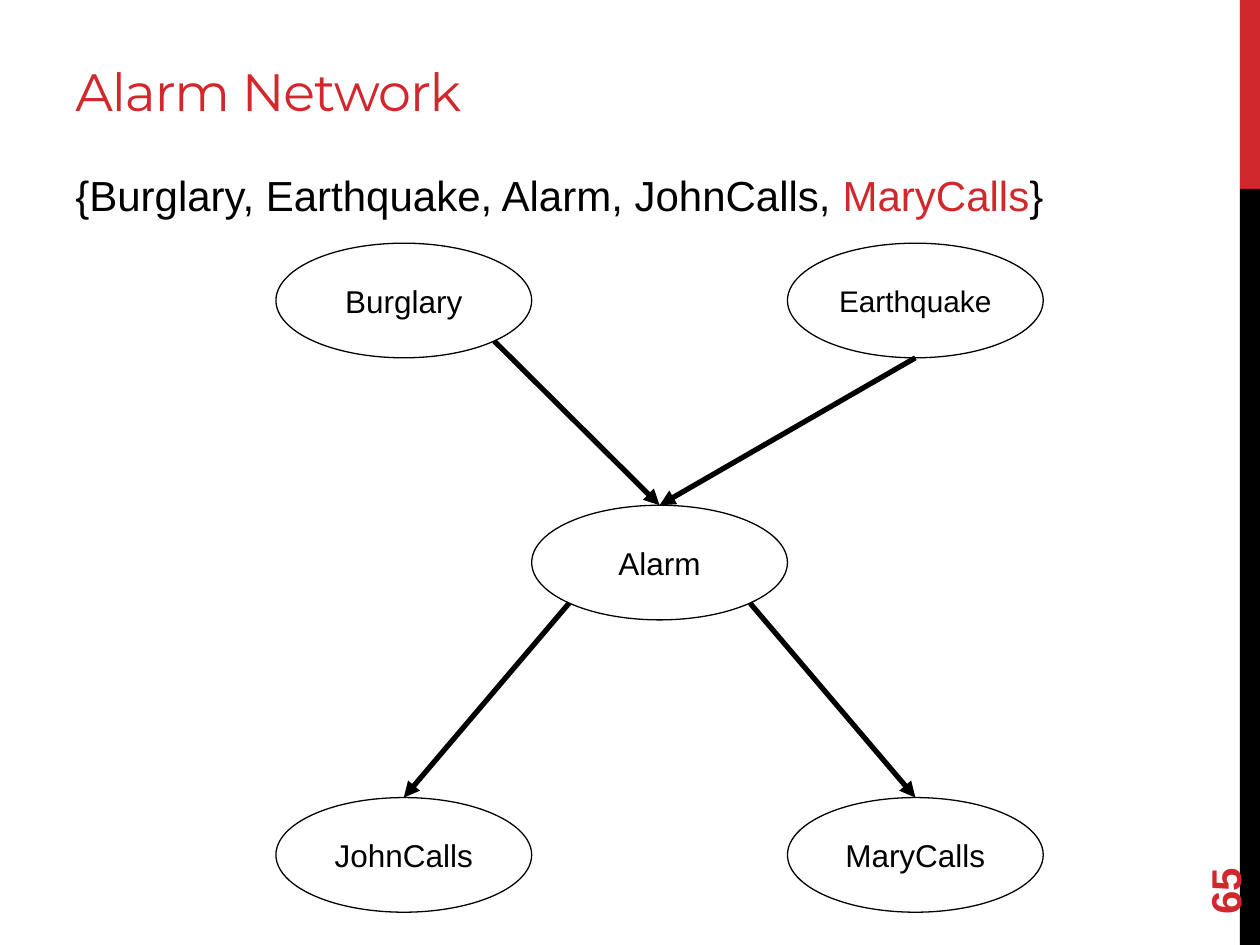
"""Builds the Alarm Network slide: a five-node Bayesian network."""
from dataclasses import dataclass
from math import cos, radians, sin

from lxml.etree import SubElement
from pptx import Presentation
from pptx.dml.color import RGBColor
from pptx.enum.shapes import MSO_CONNECTOR, MSO_SHAPE
from pptx.enum.text import MSO_ANCHOR, PP_ALIGN
from pptx.oxml.ns import qn
from pptx.util import Inches, Pt


@dataclass(frozen=True)
class Theme:
    """Colours, fonts and type sizes of the slide."""
    red: RGBColor = RGBColor(0xD1, 0x28, 0x2E)
    black: RGBColor = RGBColor(0, 0, 0)
    heading_font: str = "Montserrat"
    body_font: str = "Arial"
    title_size: float = 30
    body_size: float = 24
    node_size: float = 18
    small_node_size: float = 17
    outline: float = 0.75
    arrow: float = 3


THEME = Theme()
SLIDE_WIDTH, SLIDE_HEIGHT = 10, 7.5
BAR_LEFT = 9.84
MARGIN, CONTENT_WIDTH = 0.5, 8.84
NODE_WIDTH, NODE_HEIGHT = 2.03, 0.91
GRID_LEFT = 2.19
ROW_TOPS = (1.93, 4.01, 6.33)
TOP, BOTTOM, BOTTOM_LEFT, BOTTOM_RIGHT = 270, 90, 135, 45

NODES = {
    "Burglary": (0, 0, THEME.node_size),
    "Earthquake": (2, 0, THEME.small_node_size),
    "Alarm": (1, 1, THEME.node_size),
    "JohnCalls": (0, 2, THEME.node_size),
    "MaryCalls": (2, 2, THEME.node_size),
}
LINKS = (
    ("Burglary", BOTTOM_RIGHT, "Alarm"),
    ("Earthquake", BOTTOM, "Alarm"),
    ("Alarm", BOTTOM_LEFT, "JohnCalls"),
    ("Alarm", BOTTOM_RIGHT, "MaryCalls"),
)


def add_run(paragraph, text, size, color=THEME.black, font=THEME.body_font, bold=False):
    """Append one formatted run and return it."""
    run = paragraph.add_run()
    run.text = text
    run.font.name = font
    run.font.size = Pt(size)
    run.font.bold = bold
    run.font.color.rgb = color
    return run


def add_text_box(slide, left, top, width, height, anchor):
    """Add a wrapping text box and return it."""
    shape = slide.shapes.add_textbox(*map(Inches, (left, top, width, height)))
    shape.text_frame.word_wrap = True
    shape.text_frame.vertical_anchor = anchor
    return shape


def add_bar(slide, top, height, color):
    """Add a section of the bar on the right edge."""
    shape = slide.shapes.add_shape(
        MSO_SHAPE.RECTANGLE, Inches(BAR_LEFT), Inches(top),
        Inches(SLIDE_WIDTH - BAR_LEFT), Inches(height))
    shape.shadow.inherit = False
    shape.fill.solid()
    shape.fill.fore_color.rgb = color
    shape.line.fill.background()


def add_title(slide, text):
    """Add the slide heading."""
    shape = add_text_box(slide, MARGIN, 0.17, CONTENT_WIDTH, 0.85, MSO_ANCHOR.BOTTOM)
    run = add_run(shape.text_frame.paragraphs[0], text, THEME.title_size,
                  THEME.red, THEME.heading_font)
    run.font._element.set("spc", "-60")


def add_variables(slide, parts):
    """Add the variable set from pairs of text and colour."""
    shape = add_text_box(slide, MARGIN, 1.3, CONTENT_WIDTH, 0.6, MSO_ANCHOR.TOP)
    for text, color in parts:
        add_run(shape.text_frame.paragraphs[0], text, THEME.body_size, color)


def add_page_number(slide, text):
    """Add the page number, turned to read upwards."""
    shape = add_text_box(slide, 9, 6.44, 1.44, 0.4, MSO_ANCHOR.MIDDLE)
    shape.rotation = 270
    add_run(shape.text_frame.paragraphs[0], text, THEME.body_size, THEME.red, bold=True)


def add_node(slide, text, column, row, size):
    """Add a labelled ellipse in a grid cell."""
    shape = slide.shapes.add_shape(
        MSO_SHAPE.OVAL, Inches(GRID_LEFT + column * NODE_WIDTH), Inches(ROW_TOPS[row]),
        Inches(NODE_WIDTH), Inches(NODE_HEIGHT))
    shape.shadow.inherit = False
    shape.fill.background()
    shape.line.color.rgb = THEME.black
    shape.line.width = Pt(THEME.outline)
    frame = shape.text_frame
    frame.margin_top = frame.margin_bottom = Inches(0.1)
    frame.vertical_anchor = MSO_ANCHOR.MIDDLE
    frame.paragraphs[0].alignment = PP_ALIGN.CENTER
    add_run(frame.paragraphs[0], text, size)
    return shape


def rim_point(node, angle):
    """Return the point on an ellipse at an angle clockwise from the right."""
    turn = radians(angle)
    return (round(node.left + node.width * (1 + cos(turn)) / 2),
            round(node.top + node.height * (1 + sin(turn)) / 2))


def add_arrow(slide, source, angle, target):
    """Add an arrow from the rim of one node to the top of another."""
    connector = slide.shapes.add_connector(
        MSO_CONNECTOR.STRAIGHT, *rim_point(source, angle), *rim_point(target, TOP))
    connector.line.color.rgb = THEME.black
    connector.line.width = Pt(THEME.arrow)
    SubElement(connector.line._get_or_add_ln(), qn("a:tailEnd"), type="triangle")
    SubElement(connector._element.spPr, qn("a:effectLst"))


def main():
    """Build and save the slide."""
    presentation = Presentation()
    presentation.slide_width = Inches(SLIDE_WIDTH)
    presentation.slide_height = Inches(SLIDE_HEIGHT)
    slide = presentation.slides.add_slide(presentation.slide_layouts[6])
    red_height = SLIDE_HEIGHT / 5
    add_bar(slide, 0, red_height, THEME.red)
    add_bar(slide, red_height, SLIDE_HEIGHT - red_height, THEME.black)
    add_title(slide, "Alarm Network")
    add_page_number(slide, "65")
    nodes = {name: add_node(slide, name, *place) for name, place in NODES.items()}
    for source, angle, target in LINKS:
        add_arrow(slide, nodes[source], angle, nodes[target])
    add_variables(slide, (
        ("{Burglary, Earthquake, Alarm, JohnCalls, ", THEME.black),
        ("MaryCalls", THEME.red),
        ("}", THEME.black),
    ))
    presentation.save("out.pptx")


if __name__ == "__main__":
    main()
